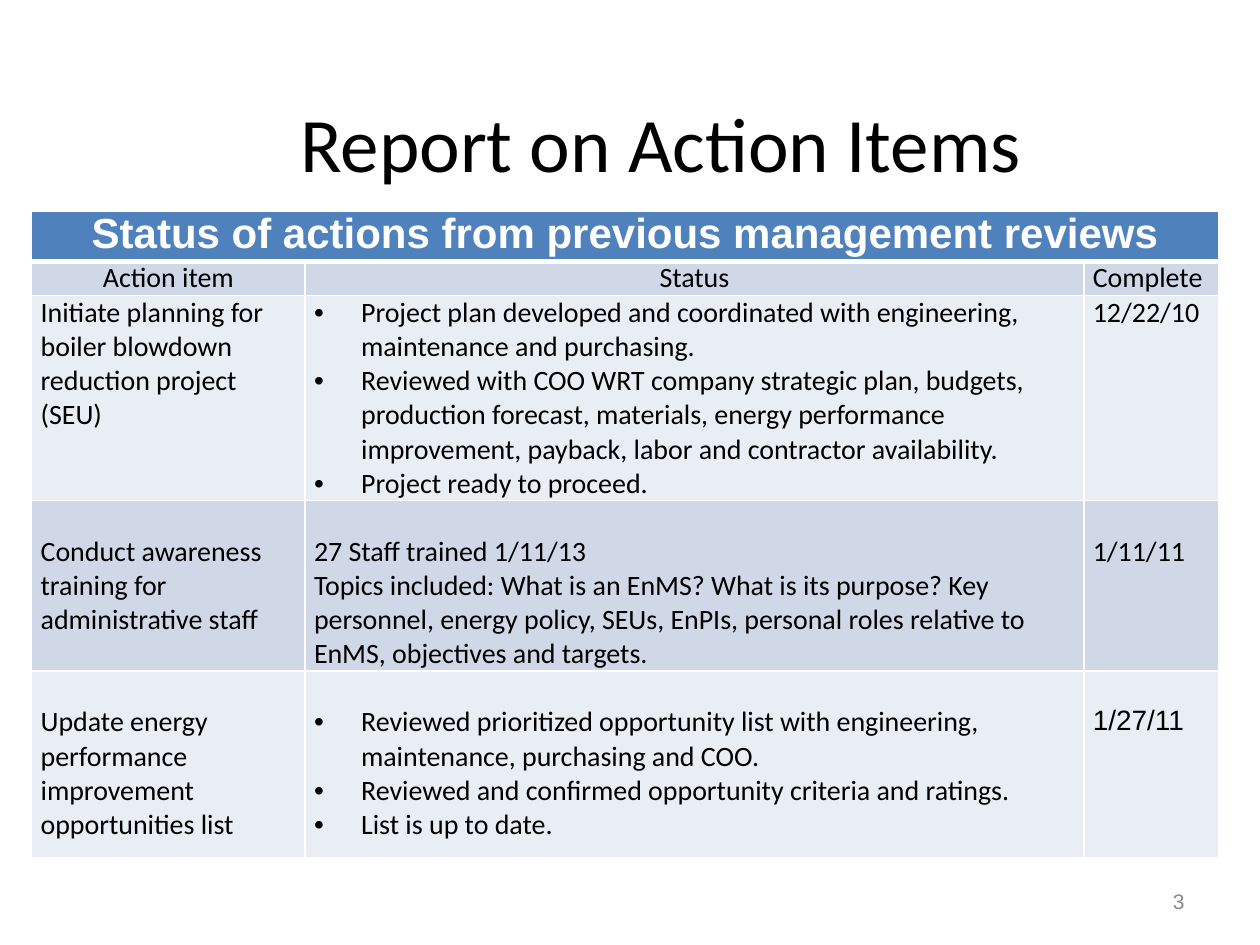
"""Build the slide reporting on management review action items."""
import pptx
import pptx.dml.color
import pptx.enum.text
import pptx.oxml
import pptx.oxml.ns
import pptx.util
from lxml import etree

Cm = pptx.util.Cm
Pt = pptx.util.Pt
ALIGN = pptx.enum.text.PP_ALIGN
MIDDLE = pptx.enum.text.MSO_ANCHOR.MIDDLE
qn = pptx.oxml.ns.qn


def color(value):
    return pptx.dml.color.RGBColor.from_string(value)


def add_text(p, text, size, font="Calibri", fill="000000", bold=False, align=ALIGN.LEFT):
    p.alignment = align
    r = p.add_run()
    r.text = text
    r.font.size = Pt(size)
    r.font.name = font
    r.font.bold = bold
    r.font.color.rgb = color(fill)


prs = pptx.Presentation()
prs.slide_width = Cm(25.4)
prs.slide_height = Cm(19.05)
s = prs.slides.add_slide(prs.slide_layouts[6])

labels = [
    ("Report on Action Items", (1.9, 1.27, 22.86, 3.18), 44, "Calibri", "000000", ALIGN.CENTER),
    ("3", (18.2, 17.66, 5.93, 1.01), 12, "Arial", "898989", ALIGN.RIGHT),
]
for text, box, size, font, fill, align in labels:
    tf = s.shapes.add_textbox(*[Cm(v) for v in box]).text_frame
    tf.word_wrap = True
    tf.vertical_anchor = MIDDLE
    add_text(tf.paragraphs[0], text, size, font, fill, align=align)

rows = [
    (["Status of actions from previous management reviews"], [], []),
    (["Action item"], ["Status"], ["Complete"]),
    (["Initiate planning for boiler blowdown reduction project (SEU)"],
     ["Project plan developed and coordinated with engineering, maintenance and purchasing.",
      "Reviewed with COO WRT company strategic plan, budgets, production forecast, materials, "
      "energy performance improvement, payback, labor and contractor availability.",
      "Project ready to proceed."],
     ["12/22/10"]),
    (["Conduct awareness training for administrative staff"],
     ["27 Staff trained 1/11/13",
      "Topics included: What is an EnMS? What is its purpose? Key personnel, energy policy, "
      "SEUs, EnPIs, personal roles relative to EnMS, objectives and targets."],
     ["1/11/11"]),
    (["Update energy performance improvement opportunities list"],
     ["Reviewed prioritized opportunity list with engineering, maintenance, purchasing and COO.",
      "Reviewed and confirmed opportunity criteria and ratings.",
      "List is up to date."],
     ["1/27/11"]),
]
widths = [5.51, 15.7, 2.71]
heights = [0.91, 0.69, 4.13, 3.44, 3.76]
fills = ["4F81BD", "D0D8E8", "E9EDF4", "D0D8E8", "E9EDF4"]
tops = [0, 0, 0, 0.69, 0.69]
bulleted = [(2, 1), (4, 1)]

table = s.shapes.add_table(len(rows), len(widths), Cm(0.64), Cm(4.25),
                           Cm(sum(widths)), Cm(sum(heights))).table
for col, width in zip(table.columns, widths):
    col.width = Cm(width)
for row, height in zip(table.rows, heights):
    row.height = Cm(height)
table.cell(0, 0).merge(table.cell(0, 2))

for i, row in enumerate(rows):
    for j, texts in enumerate(row):
        cell = table.cell(i, j)
        cell.margin_left = cell.margin_right = Cm(0.18)
        cell.margin_top = Cm(tops[i])
        cell.margin_bottom = 0
        cell.fill.solid()
        cell.fill.fore_color.rgb = color(fills[i])
        tcPr = cell._tc.get_or_add_tcPr()
        for k, side in enumerate(["lnL", "lnR", "lnT", "lnB"]):
            thick = (i, side) in [(0, "lnB"), (1, "lnT")]
            ln = etree.Element(qn("a:" + side), w=str(Pt(3 if thick else 1)))
            fill = etree.SubElement(ln, qn("a:solidFill"))
            etree.SubElement(fill, qn("a:srgbClr"), val="FFFFFF")
            tcPr.insert(k, ln)
        tf = cell.text_frame
        for n, text in enumerate(texts):
            p = tf.add_paragraph() if n else tf.paragraphs[0]
            if i == 0:
                add_text(p, text, 24, "Arial", "FFFFFF", True, ALIGN.CENTER)
                continue
            font = "Arial" if (i, j) == (4, 2) else "Calibri"
            align = ALIGN.CENTER if i == 1 and j < 2 else ALIGN.LEFT
            add_text(p, text, 16, font, align=align)
            if (i, j) in bulleted:
                pPr = p._p.get_or_add_pPr()
                pPr.set("marL", str(Cm(0.95)))
                pPr.set("indent", str(-Cm(0.95)))
                etree.SubElement(pPr, qn("a:buFont"), typeface="Arial")
                etree.SubElement(pPr, qn("a:buChar"), char="•")

prs.save("out.pptx")
